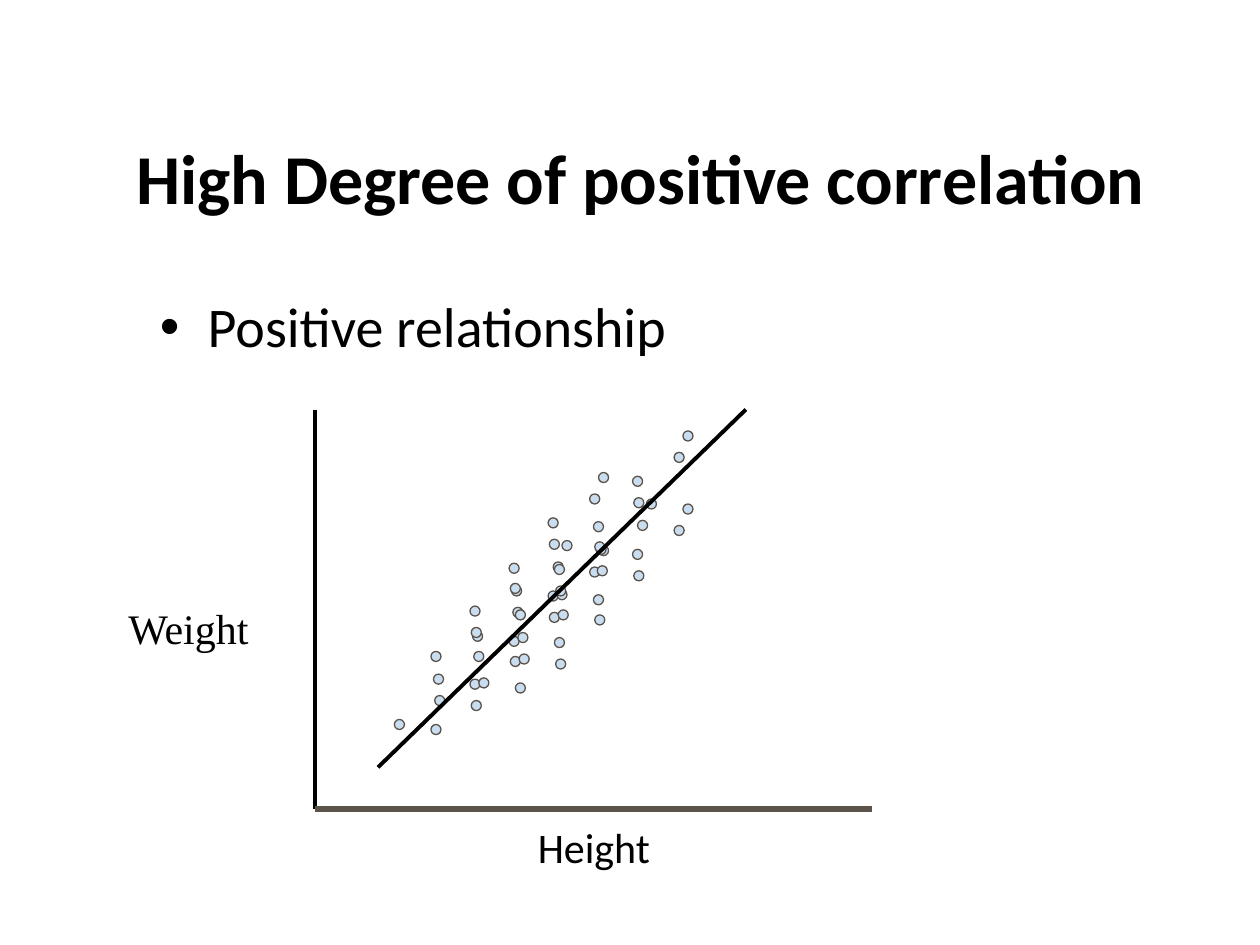
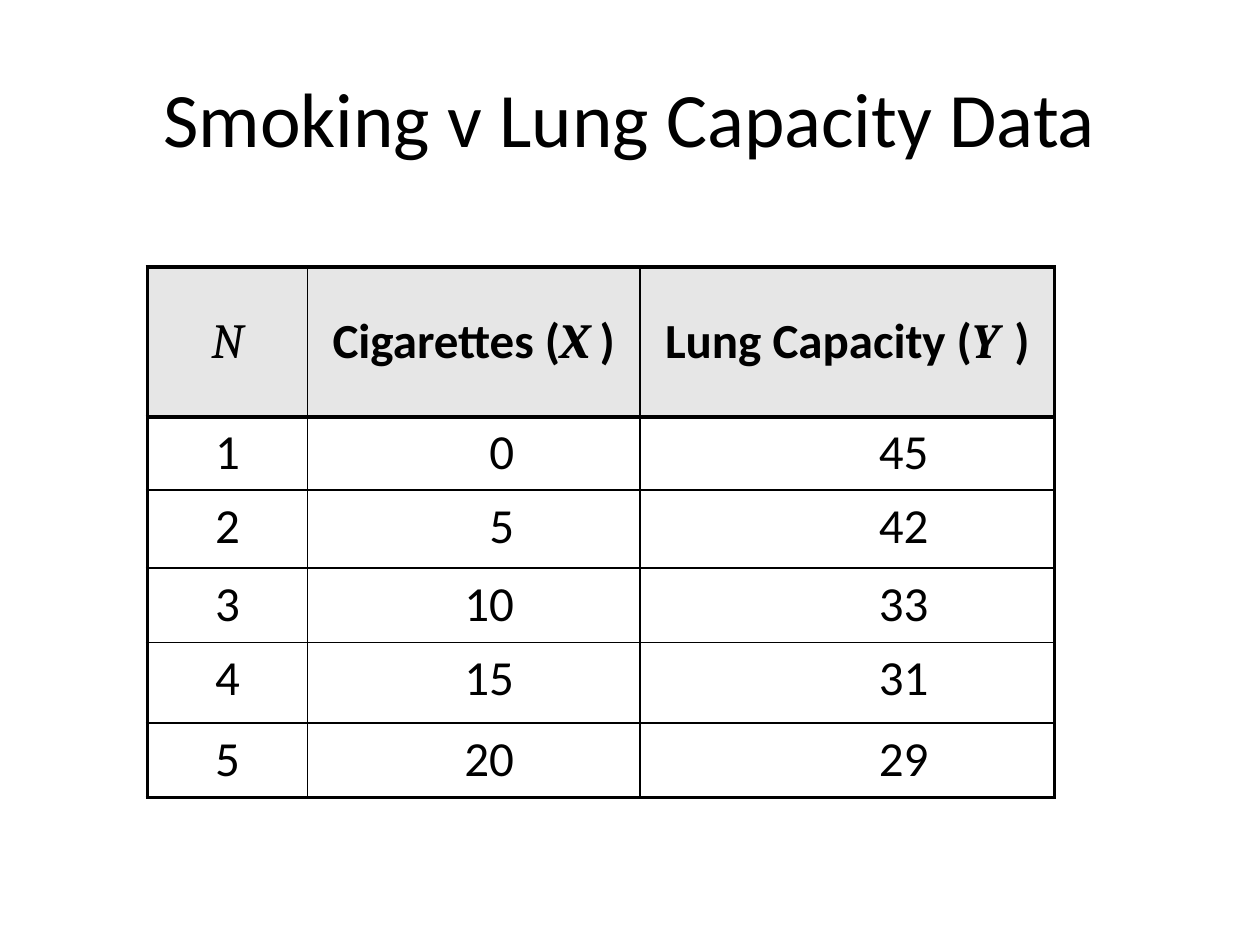
import pptx
import pptx.dml.color
import pptx.enum.shapes
import pptx.enum.text
import pptx.oxml.ns
import pptx.util
import lxml.etree

Inches = pptx.util.Inches
Pt = pptx.util.Pt
RGBColor = pptx.dml.color.RGBColor
ALIGN = pptx.enum.text.PP_ALIGN
ANCHOR = pptx.enum.text.MSO_ANCHOR
qn = pptx.oxml.ns.qn

BLACK = RGBColor(0x00, 0x00, 0x00)
BROWN = RGBColor(0x5B, 0x52, 0x49)
PALE_BLUE = RGBColor(0xC9, 0xDD, 0xF1)
HEADER_GREY = RGBColor(0xE6, 0xE6, 0xE6)

BODY_FONT = "Calibri"
SYMBOL_FONT = "Cambria"
SERIF_FONT = "Times New Roman"

# The scatter is one rising string of dots, repeated from several starts.
DOT_SIZE = 0.08
DOT_STEPS = [(0, 0), (0.32, 0.19), (0.31, 0.36), (0.63, 0.54), (0.62, 0.7),
             (0.94, 0.89), (0.93, 1.06), (1.26, 1.25), (1.33, 1.42)]
STRING_STARTS = [(3.13, 5.71), (3.42, 5.75), (3.42, 5.17),
                 (3.8, 5.38), (4.09, 5.42), (4.09, 4.84)]

COLUMN_WIDTHS = [1.27, 2.64, 3.29]
ROW_HEIGHTS = [1.19, 0.58, 0.62, 0.59, 0.64, 0.59]
SMOKING_DATA = [(1, 0, 45), (2, 5, 42), (3, 10, 33), (4, 15, 31), (5, 20, 29)]
THIN, OUTER, HEADER_RULE = 1, 2.25, 3

SYMBOL = {"font": SYMBOL_FONT, "italic": True}
HEADINGS = [
    [("N", {"bold": False, **SYMBOL})],
    [("Cigarettes (", {}), ("X ", SYMBOL), (")", {})],
    [("Lung Capacity (", {}), ("Y ", SYMBOL), (" ", {"size": 11, **SYMBOL}), (")", {})],
]


def add_run(paragraph, text, size=28, font=BODY_FONT, bold=False, italic=False):
    """Append one formatted black run to a paragraph."""
    run = paragraph.add_run()
    run.text = text
    run.font.size = Pt(size)
    run.font.name = font
    run.font.bold = bold
    run.font.italic = italic
    run.font.color.rgb = BLACK


def add_text(slide, text, box, align=ALIGN.LEFT, anchor=ANCHOR.TOP, spacing=0.95,
             bullet=False, wrap=True, **run_format):
    """Add a text box holding one paragraph, with a hanging bullet if asked."""
    frame = slide.shapes.add_textbox(*map(Inches, box)).text_frame
    frame.word_wrap = wrap
    frame.vertical_anchor = anchor
    paragraph = frame.paragraphs[0]
    paragraph.alignment = align
    paragraph.line_spacing = spacing
    add_run(paragraph, text, **run_format)
    if bullet:
        properties = paragraph._p.get_or_add_pPr()
        properties.set("marL", str(Inches(0.38)))
        properties.set("indent", str(Inches(-0.38)))
        font = lxml.etree.SubElement(properties, qn("a:buFont"))
        font.set("typeface", "Arial")
        lxml.etree.SubElement(properties, qn("a:buChar")).set("char", "•")


def add_title(slide, text, box, **text_format):
    """Add a slide title, centred both ways."""
    add_text(slide, text, box, align=ALIGN.CENTER, anchor=ANCHOR.MIDDLE, **text_format)


def add_line(slide, start, end, color=BLACK, width=2.25):
    """Draw a straight line without a shadow."""
    line = slide.shapes.add_connector(
        pptx.enum.shapes.MSO_CONNECTOR.STRAIGHT, *map(Inches, start + end))
    line.line.color.rgb = color
    line.line.width = Pt(width)
    lxml.etree.SubElement(line._element.spPr, qn("a:effectLst"))


def add_dot(slide, left, top):
    """Add one data point of the scatter."""
    dot = slide.shapes.add_shape(
        pptx.enum.shapes.MSO_SHAPE.OVAL,
        *map(Inches, (left, top, DOT_SIZE, DOT_SIZE)))
    dot.shadow.inherit = False
    dot.fill.solid()
    dot.fill.fore_color.rgb = PALE_BLUE
    dot.line.color.rgb = BROWN
    dot.line.width = Pt(0.75)


def set_borders(cell, **widths):
    """Give a cell black borders; each width in points is keyed L, R, T or B."""
    properties = cell._tc.get_or_add_tcPr()
    for side in "LRTB":
        border = lxml.etree.SubElement(properties, qn("a:ln" + side))
        border.set("w", str(Pt(widths[side])))
        fill = lxml.etree.SubElement(border, qn("a:solidFill"))
        lxml.etree.SubElement(fill, qn("a:srgbClr")).set("val", str(BLACK))


def fill_cell(cell, runs, row, column):
    """Write a cell and style it by its place in the table."""
    is_header = row == 0
    is_number = not is_header and column > 0
    set_borders(
        cell,
        L=OUTER if column == 0 else THIN,
        R=OUTER if column == len(COLUMN_WIDTHS) - 1 else THIN,
        T={0: OUTER, 1: HEADER_RULE}.get(row, THIN),
        B={0: HEADER_RULE, len(ROW_HEIGHTS) - 1: OUTER}.get(row, THIN))
    if is_header:
        cell.fill.solid()
        cell.fill.fore_color.rgb = HEADER_GREY
    else:
        cell.fill.background()
    cell.vertical_anchor = ANCHOR.MIDDLE if is_header else ANCHOR.TOP
    cell.margin_right = Inches(1 if is_number else 0.1)
    paragraph = cell.text_frame.paragraphs[0]
    paragraph.alignment = ALIGN.RIGHT if is_number else ALIGN.CENTER
    for text, run_format in runs:
        add_run(paragraph, text, **{"bold": is_header, **run_format})


def add_data_table(slide, left, top):
    """Add the table of cigarettes and lung capacity."""
    rows = [HEADINGS] + [[[(str(value), {})] for value in record]
                         for record in SMOKING_DATA]
    table = slide.shapes.add_table(
        len(rows), len(COLUMN_WIDTHS), Inches(left), Inches(top),
        Inches(sum(COLUMN_WIDTHS)), Inches(sum(ROW_HEIGHTS))).table
    table.first_row = False
    table.horz_banding = False
    for column, width in zip(table.columns, COLUMN_WIDTHS):
        column.width = Inches(width)
    for table_row, height in zip(table.rows, ROW_HEIGHTS):
        table_row.height = Inches(height)
    for row, cells in enumerate(rows):
        for column, runs in enumerate(cells):
            fill_cell(table.cell(row, column), runs, row, column)


def build_correlation_slide(slide):
    """Scatter of weight against height with its trend line."""
    add_title(slide, "High Degree of positive correlation",
              (0.5, 1, 9.17, 0.87), size=40, bold=True)
    add_text(slide, "Positive relationship", (1.17, 2.3, 8.5, 0.83),
             size=32, bullet=True)
    origin = (2.5, 6.42)
    add_line(slide, (2.5, 3.25), origin)
    add_line(slide, origin, (6.92, 6.42), color=BROWN, width=3)
    add_text(slide, "Height", (4.17, 6.5, 1.11, 0.5), size=24, wrap=False)
    add_text(slide, "Weight", (0.92, 4.76, 1.25, 0.5), size=24, font=SERIF_FONT)
    for left, top in STRING_STARTS:
        for right, up in DOT_STEPS:
            add_dot(slide, left + right, top - up)
    add_line(slide, (3, 6.09), (5.92, 3.25))


def build_data_slide(slide):
    """Table of the smoking data."""
    add_title(slide, "Smoking v Lung Capacity Data", (0.5, 0.3, 9, 1.25),
              size=44, spacing=1.0)
    add_data_table(slide, 1.17, 2.12)


def main():
    """Build both slides and save them."""
    presentation = pptx.Presentation()
    presentation.slide_width = Inches(10)
    presentation.slide_height = Inches(7.5)
    blank = presentation.slide_layouts[6]
    for build in (build_correlation_slide, build_data_slide):
        build(presentation.slides.add_slide(blank))
    presentation.save("out.pptx")


main()
